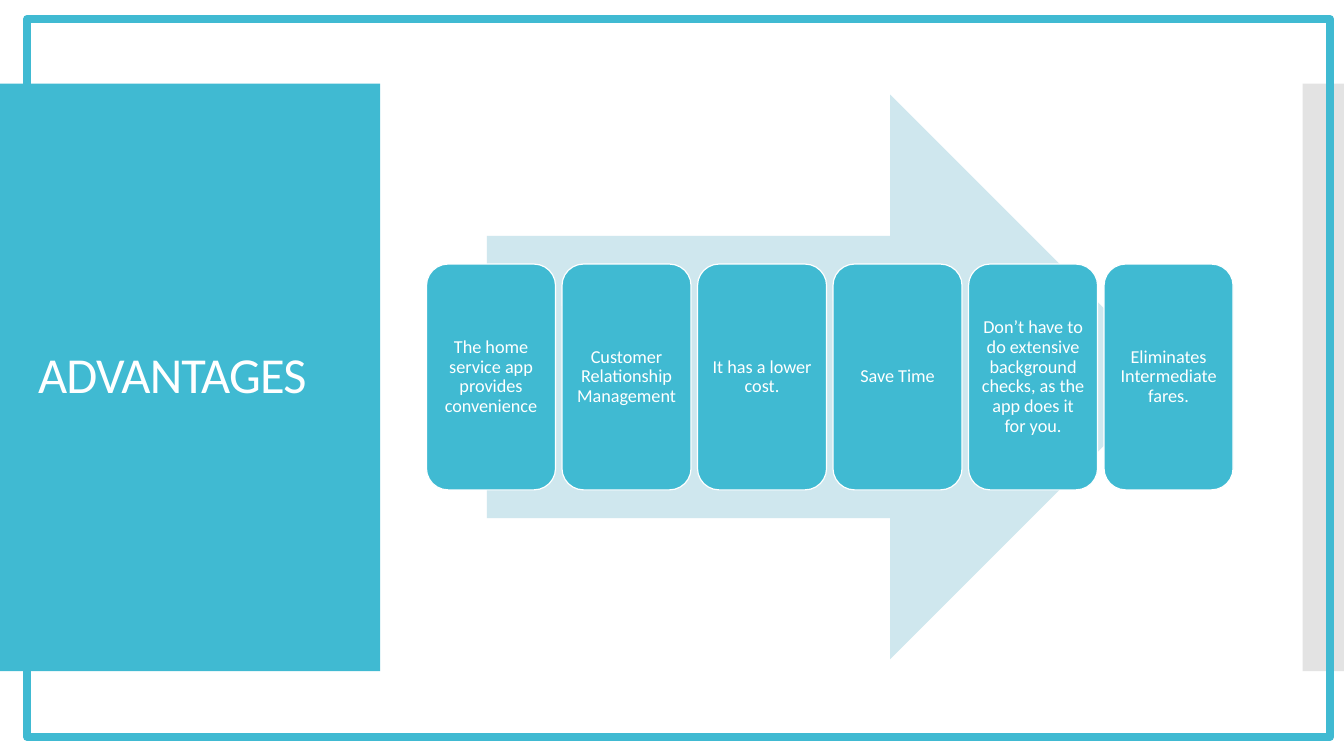
from pptx import Presentation
from pptx.dml.color import RGBColor
from pptx.enum.shapes import MSO_SHAPE as Shape
from pptx.enum.text import MSO_ANCHOR as Anchor, PP_ALIGN as Align
from pptx.oxml.ns import qn
from pptx.util import Inches, Pt
from lxml.etree import SubElement

COLORS = {"teal": "40BAD2", "pale": "CFE7EE", "gray": "C8C8C8", "white": "FFFFFF"}
ADVANTAGES = [
    "The home service app provides convenience",
    "Customer Relationship Management",
    "It has a lower cost.",
    "Save Time",
    "Don’t have to do extensive background checks, as the app does it for you.",
    "Eliminates Intermediate fares.",
]
CARD_WIDTH, CARD_PITCH = 1.28, 1.344


def rgb(name):
    """Return the named colour."""
    return RGBColor.from_string(COLORS[name])


def add_block(slide, kind, box, fill=None, line=None, weight=1):
    """Draw a preset shape in a box given in inches."""
    block = slide.shapes.add_shape(kind, *map(Inches, box))
    block.shadow.inherit = False
    if fill:
        block.fill.solid()
        block.fill.fore_color.rgb = rgb(fill)
    else:
        block.fill.background()
    if line:
        block.line.color.rgb = rgb(line)
        block.line.width = Pt(weight)
    else:
        block.line.fill.background()
    return block


def write(block, text, size, align, inset):
    """Set white, vertically centred Calibri text in a shape."""
    frame = block.text_frame
    settings = {
        "word_wrap": True, "vertical_anchor": Anchor.MIDDLE,
        "margin_left": Inches(inset), "margin_right": Inches(inset),
        "margin_top": Inches(0.05), "margin_bottom": Inches(0.05),
    }
    for name, value in settings.items():
        setattr(frame, name, value)
    paragraph = frame.paragraphs[0]
    paragraph.alignment = align
    paragraph.line_spacing = 0.9
    run = paragraph.add_run()
    run.text = text
    for name, value in {"name": "Calibri", "size": Pt(size)}.items():
        setattr(run.font, name, value)
    run.font.color.rgb = rgb("white")
    return run


def add_title_panel(slide, left, top, width, height):
    """Draw the teal panel with the slide title."""
    add_block(slide, Shape.RECTANGLE, (left, top, width, height), "teal")
    title_box = (left + 0.28, top + 0.4, width - 0.55, height - 0.8)
    title = slide.shapes.add_textbox(*map(Inches, title_box))
    run = write(title, "ADVANTAGES", 36, Align.LEFT, 0.1)
    run.font._element.set("spc", "-60")


def add_edge_strip(slide, left, top, width, height):
    """Draw the half-transparent gray strip at the right edge."""
    strip = add_block(slide, Shape.RECTANGLE, (left, top, width, height), "gray")
    color = strip._element.spPr.find(qn("a:solidFill"))[0]
    SubElement(color, qn("a:alpha")).set("val", "50000")


def add_advantages(slide, left, top, width, height):
    """Draw the arrow and the row of advantage cards across it."""
    arrow_box = (left + width * 0.075, top, width * 0.85, height)
    add_block(slide, Shape.RIGHT_ARROW, arrow_box, "pale")
    for index, advantage in enumerate(ADVANTAGES):
        card_box = (left + index * CARD_PITCH, top + height * 0.3, CARD_WIDTH, height * 0.4)
        card = add_block(slide, Shape.ROUNDED_RECTANGLE, card_box, "teal", "white", 0.85)
        write(card, advantage, 13, Align.CENTER, 0.05)


def add_frame(slide, left, top, width, height):
    """Draw the teal outline with rounded joins around the slide."""
    outline = add_block(slide, Shape.RECTANGLE, (left, top, width, height), None, "teal", 6)
    SubElement(outline.line._get_or_add_ln(), qn("a:round"))


def main():
    """Build the slide and save it."""
    deck = Presentation()
    deck.slide_width, deck.slide_height = Inches(13.33), Inches(7.5)
    slide = deck.slides.add_slide(deck.slide_layouts[6])
    add_title_panel(slide, 0, 0.83, 3.77, 5.83)
    add_edge_strip(slide, 12.92, 0.83, 0.41, 5.83)
    add_advantages(slide, 4.23, 0.94, 8, 5.6)
    add_frame(slide, 0.27, 0.19, 12.92, 7.12)
    deck.save("out.pptx")


if __name__ == "__main__":
    main()
